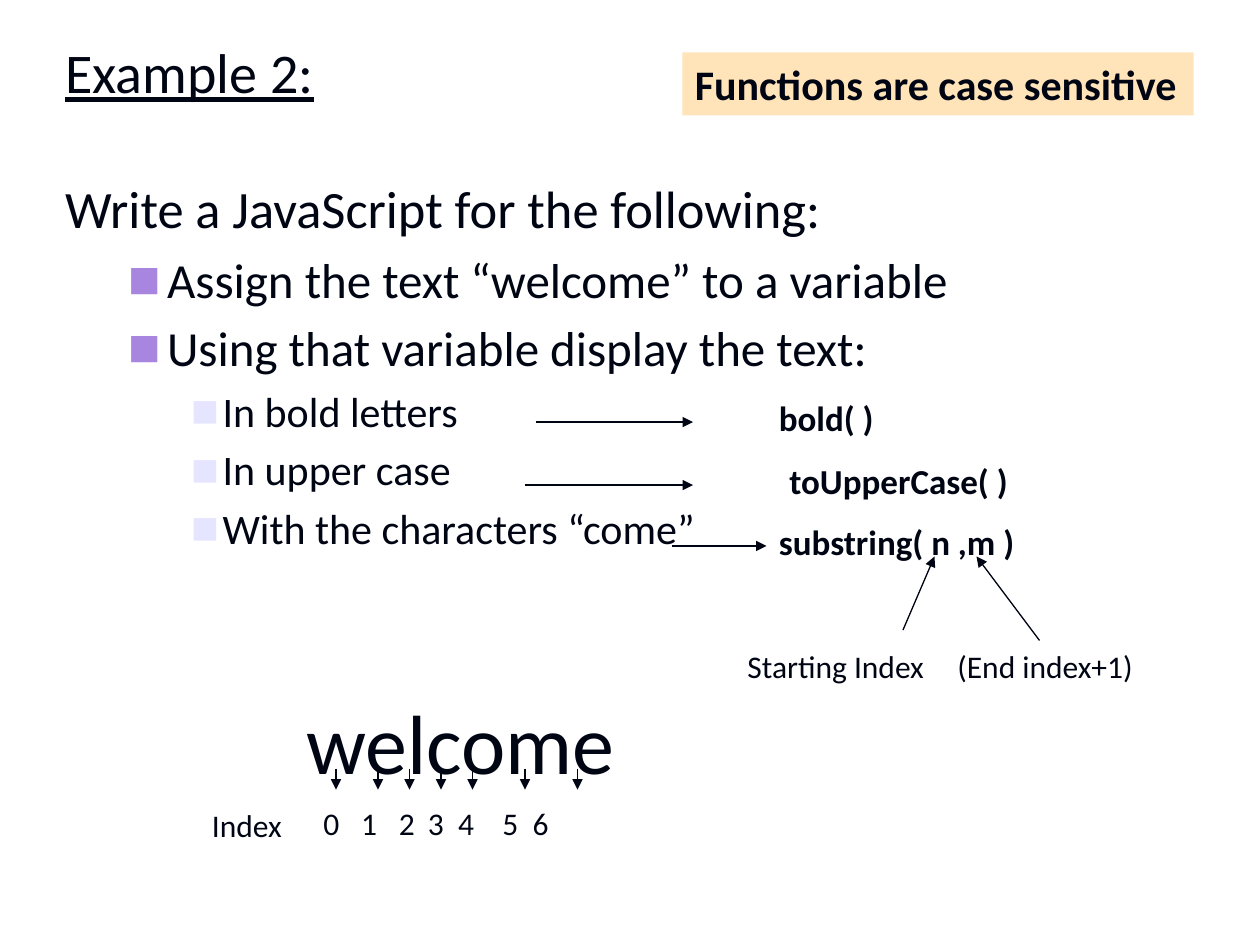
from lxml import etree
from pptx import Presentation
from pptx.dml.color import RGBColor
from pptx.enum.shapes import MSO_CONNECTOR, MSO_SHAPE
from pptx.enum.text import MSO_ANCHOR, MSO_AUTO_SIZE, PP_ALIGN
from pptx.oxml.ns import qn
from pptx.util import Inches, Pt

STRAIGHT, RECTANGLE = MSO_CONNECTOR.STRAIGHT, MSO_SHAPE.RECTANGLE
TOP, MIDDLE, LEFT = MSO_ANCHOR.TOP, MSO_ANCHOR.MIDDLE, PP_ALIGN.LEFT
NO_FIT = MSO_AUTO_SIZE.NONE
COLORS = {"ink": "000514", "callout": "FFE3B9", "level1": "A886E0", "level2": "E5E5FF"}

prs = Presentation()
prs.slide_width, prs.slide_height = Inches(10), Inches(7.5)
slide = prs.slides.add_slide(prs.slide_layouts[1])

# Grid of 120 columns by 90 rows
COL, ROW = prs.slide_width / 120, prs.slide_height / 90


def write(shape, place, text, size, anchor=TOP, wrap=True, **font_format):
    """Place a shape on the grid and fill it with left-aligned lines of text."""
    left, top, width, height = place
    geometry = {"left": left * COL, "top": top * ROW,
                "width": width * COL, "height": height * ROW}
    for name, value in geometry.items():
        setattr(shape, name, round(value))
    frame = shape.text_frame
    frame.text = text
    frame.auto_size, frame.word_wrap, frame.vertical_anchor = NO_FIT, wrap, anchor
    for paragraph in frame.paragraphs:
        paragraph.alignment = LEFT
        for name, value in {"name": "Calibri", "size": Pt(size), **font_format}.items():
            setattr(paragraph.font, name, value)
        paragraph.font.color.rgb = RGBColor.from_string(COLORS["ink"])
    return frame


def arrow(x1, y1, x2, y2):
    """Draw a thin arrow between two grid points."""
    line = slide.shapes.add_connector(STRAIGHT, round(x1 * COL), round(y1 * ROW),
                                      round(x2 * COL), round(y2 * ROW))
    line.line.width = Pt(0.75)
    line.line.color.rgb = RGBColor.from_string(COLORS["ink"])
    etree.SubElement(line.line._get_or_add_ln(), qn("a:tailEnd"), type="triangle")
    etree.SubElement(line._element.spPr, qn("a:effectLst"))


# Title and callout
write(slide.shapes.title, (5, 3, 34, 7.7), "Example 2:", 32, underline=True)
callout = slide.shapes.add_shape(RECTANGLE, 0, 0, 0, 0)
callout.shadow.inherit = False
callout.fill.solid()
callout.fill.fore_color.rgb = RGBColor.from_string(COLORS["callout"])
callout.line.fill.background()
write(callout, (65, 5, 48.7, 6), "Functions are case sensitive", 24,
      anchor=MIDDLE, wrap=False, bold=True)

# Task list: level, text
tasks = [
    (0, "Write a JavaScript for the following:"),
    (1, "Assign the text “welcome” to a variable"),
    (1, "Using that variable display the text:"),
    (2, "In bold letters"),
    (2, "In upper case"),
    (2, "With the characters “come”"),
]
# Size, left margin and hanging indent of each level
levels = [(30, 0.38, -0.38), (28, 0.81, -0.31), (24, 1.25, -0.25)]
body = write(slide.placeholders[1], (5, 16.2, 108, 50),
             "\n".join(text for _, text in tasks), 30)
for paragraph, (level, _) in zip(body.paragraphs, tasks):
    size, margin, indent = levels[level]
    paragraph.level = level
    paragraph.font.size = Pt(size)
    props = paragraph._p.get_or_add_pPr()
    props.set("marL", str(Inches(margin)))
    props.set("indent", str(Inches(indent)))
    bullet = []
    if level:
        color = etree.Element(qn("a:buClr"))
        etree.SubElement(color, qn("a:srgbClr"), val=COLORS[f"level{level}"])
        bullet = [color, etree.Element(qn("a:buSzPct"), val="70000"),
                  etree.Element(qn("a:buFont"), typeface="Calibri"),
                  etree.Element(qn("a:buChar"), char="■")]
    else:
        bullet = [etree.Element(qn("a:buNone"))]
    for position, element in enumerate(bullet):
        props.insert(position, element)

# Function names, index notes and the indexed word
labels = [
    ((73, 37.2, 29, 5.3), "bold( )", 20, True),
    ((74, 43.2, 29, 5.3), "toUpperCase( )", 20, True),
    ((73, 49, 29, 5.3), "substring( n ,m )", 20, True),
    ((70, 61, 21, 4.8), "Starting Index", 18, False),
    ((90, 61, 24, 4.8), "(End index+1)", 18, False),
    ((28, 65.2, 34, 10.8), "welcome", 48, False),
    ((19, 76.2, 10, 4.8), "Index", 18, False),
]
for place, text, size, bold in labels:
    write(slide.shapes.add_textbox(0, 0, 0, 0), place, text, size, bold=bold)

# Index numbers, spaced by tab stops
numbers = write(slide.shapes.add_textbox(0, 0, 0, 0), (29, 76, 34, 4.8),
                "\t".join(str(i) for i in range(7)), 18)
numbers.margin_left = Inches(0.15)
tab_list = etree.Element(qn("a:tabLst"))
for stop in (0.3, 0.6, 0.83, 1.07, 1.42, 1.66):
    etree.SubElement(tab_list, qn("a:tab"), pos=str(Inches(stop)), algn="l")
numbers.paragraphs[0]._p.get_or_add_pPr().insert(0, tab_list)

# Arrows from tasks to functions and from notes to arguments
for ends in [(51, 40.2, 66, 40.2), (50, 46.2, 66, 46.2), (64, 52, 73, 52),
             (86, 60, 89, 53), (99, 61, 93, 53)]:
    arrow(*ends)

# Arrows from letters to index numbers
for letter_x in (32, 36, 39, 42, 45, 50, 55):
    arrow(letter_x, 73.2, letter_x, 75.2)

prs.save("out.pptx")
